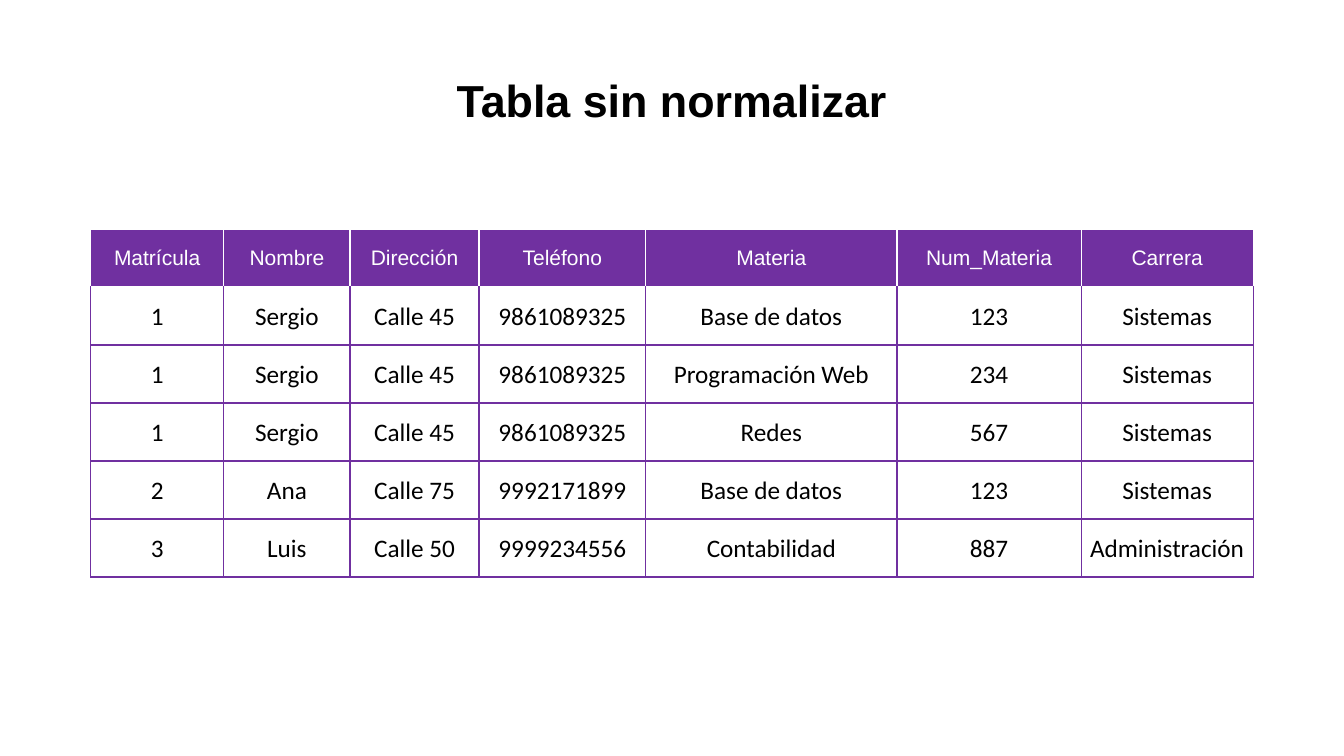
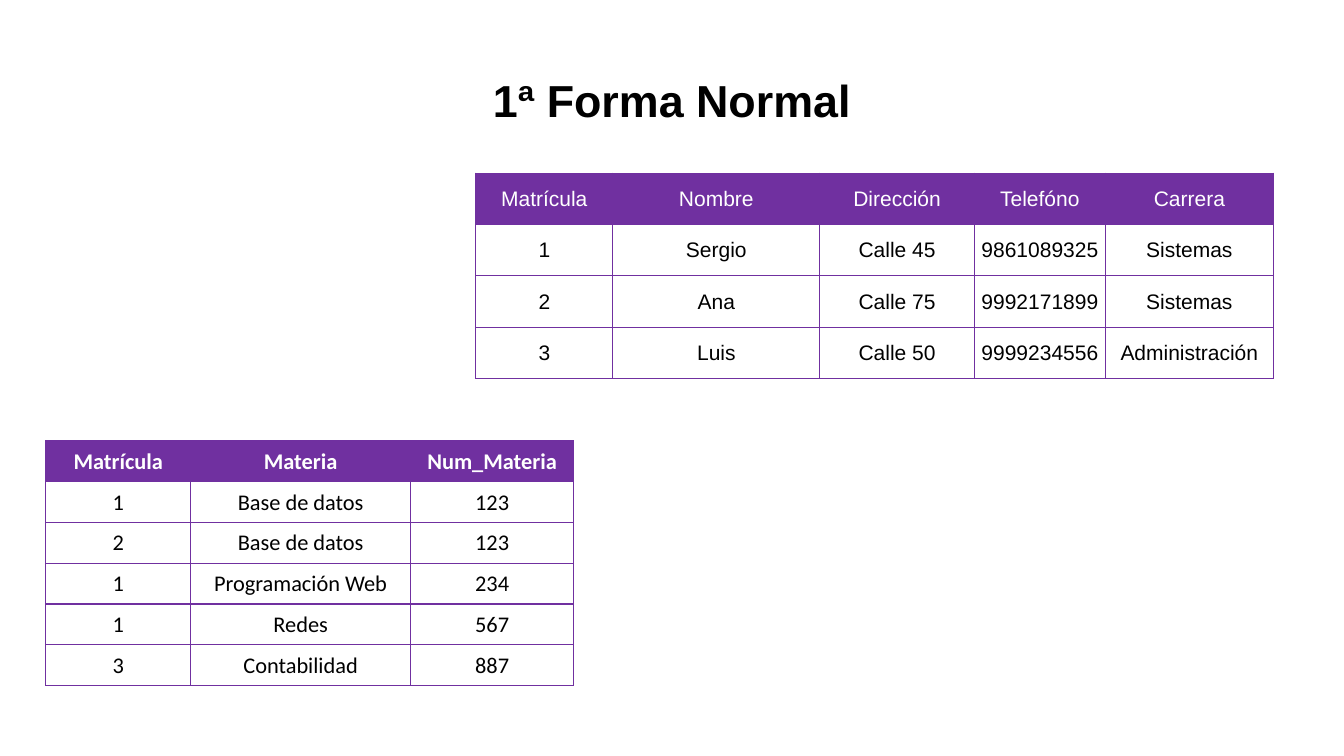
"""Builds two slides that take a student table from raw form to first normal form."""
from lxml.etree import SubElement
from pptx import Presentation
from pptx.dml.color import RGBColor
from pptx.enum.text import MSO_ANCHOR as Anchor, PP_ALIGN as Align
from pptx.oxml.ns import qn
from pptx.util import Inches, Pt

PURPLE, WHITE, BLACK = "7030A0", "FFFFFF", "000000"
WIDTH, HEIGHT = Inches(13.33), Inches(7.5)


def set_font(paragraph, name, size, color, bold=False):
    paragraph.alignment = Align.CENTER
    font = paragraph.font
    font.name, font.size, font.bold = name, Pt(size), bold
    font.color.rgb = RGBColor.from_string(color)


def set_borders(cell, top, bottom, sides):
    properties = cell._tc.get_or_add_tcPr()
    for tag, color in (("lnL", sides), ("lnR", sides), ("lnT", top), ("lnB", bottom)):
        line = SubElement(properties, qn(f"a:{tag}"), w=str(Pt(1)))
        SubElement(SubElement(line, qn("a:solidFill")), qn("a:srgbClr"), val=color)


raw_students = {
    "left": 6.75, "top": 30.3, "row": 7.67,
    "columns": [9.9, 9.4, 9.6, 12.4, 18.7, 13.7, 12.8],
    "head": ("Arial", 15, WHITE), "body": ("Calibri", 18, BLACK), "head_line": WHITE,
    "rows": [
        ["Matrícula", "Nombre", "Dirección", "Teléfono", "Materia", "Num_Materia", "Carrera"],
        ["1", "Sergio", "Calle 45", "9861089325", "Base de datos", "123", "Sistemas"],
        ["1", "Sergio", "Calle 45", "9861089325", "Programación Web", "234", "Sistemas"],
        ["1", "Sergio", "Calle 45", "9861089325", "Redes", "567", "Sistemas"],
        ["2", "Ana", "Calle 75", "9992171899", "Base de datos", "123", "Sistemas"],
        ["3", "Luis", "Calle 50", "9999234556", "Contabilidad", "887", "Administración"],
    ],
}
subjects = {
    "left": 3.4, "top": 58.3, "row": 5.4,
    "columns": [10.8, 16.35, 12.15],
    "head": ("Calibri", 16, WHITE, True), "body": ("Calibri", 16, BLACK), "head_line": PURPLE,
    "rows": [
        ["Matrícula", "Materia", "Num_Materia"],
        ["1", "Base de datos", "123"],
        ["2", "Base de datos", "123"],
        ["1", "Programación Web", "234"],
        ["1", "Redes", "567"],
        ["3", "Contabilidad", "887"],
    ],
}
students = {
    "left": 35.4, "top": 22.9, "row": 6.8,
    "columns": [10.2, 15.4, 11.5, 9.75, 12.5],
    "head": ("Arial", 15, WHITE), "body": ("Arial", 15, BLACK), "head_line": PURPLE,
    "rows": [
        ["Matrícula", "Nombre", "Dirección", "Telefóno", "Carrera"],
        ["1", "Sergio", "Calle 45", "9861089325", "Sistemas"],
        ["2", "Ana", "Calle 75", "9992171899", "Sistemas"],
        ["3", "Luis", "Calle 50", "9999234556", "Administración"],
    ],
}

deck = Presentation()
deck.slide_width, deck.slide_height = WIDTH, HEIGHT

for heading, relations in (("Tabla sin normalizar", [raw_students]),
                           ("1ª Forma Normal", [subjects, students])):
    slide = deck.slides.add_slide(deck.slide_layouts[6])
    title = slide.shapes.add_textbox(int(WIDTH * 0.02), int(HEIGHT * 0.092),
                                     int(WIDTH * 0.96), int(HEIGHT * 0.08)).text_frame
    title.word_wrap = True
    title.vertical_anchor = Anchor.MIDDLE
    title.margin_left = title.margin_right = Inches(0.13)
    title.margin_top = title.margin_bottom = Inches(0.13)
    title.text = heading
    set_font(title.paragraphs[0], "Arial", 32, BLACK, True)

    for relation in relations:
        rows, shares = relation["rows"], relation["columns"]
        row_height = int(HEIGHT * relation["row"] / 100)
        table = slide.shapes.add_table(
            len(rows), len(shares),
            int(WIDTH * relation["left"] / 100), int(HEIGHT * relation["top"] / 100),
            int(WIDTH * sum(shares) / 100), row_height * len(rows)).table
        table.first_row = table.horz_banding = False
        for column, share in zip(table.columns, shares):
            column.width = int(WIDTH * share / 100)

        for r, values in enumerate(rows):
            table.rows[r].height = row_height
            is_head = r == 0
            line_above = relation["head_line"] if r < 2 else PURPLE
            line_below = relation["head_line"] if is_head else PURPLE
            for c, value in enumerate(values):
                cell = table.cell(r, c)
                cell.text = value
                cell.vertical_anchor = Anchor.MIDDLE
                cell.margin_left = cell.margin_right = cell.margin_top = Inches(0.01)
                cell.margin_bottom = 0
                set_font(cell.text_frame.paragraphs[0], *relation["head" if is_head else "body"])
                set_borders(cell, line_above, line_below, line_below)
                if is_head:
                    cell.fill.solid()
                    cell.fill.fore_color.rgb = RGBColor.from_string(PURPLE)
                else:
                    cell.fill.background()

deck.save("out.pptx")
